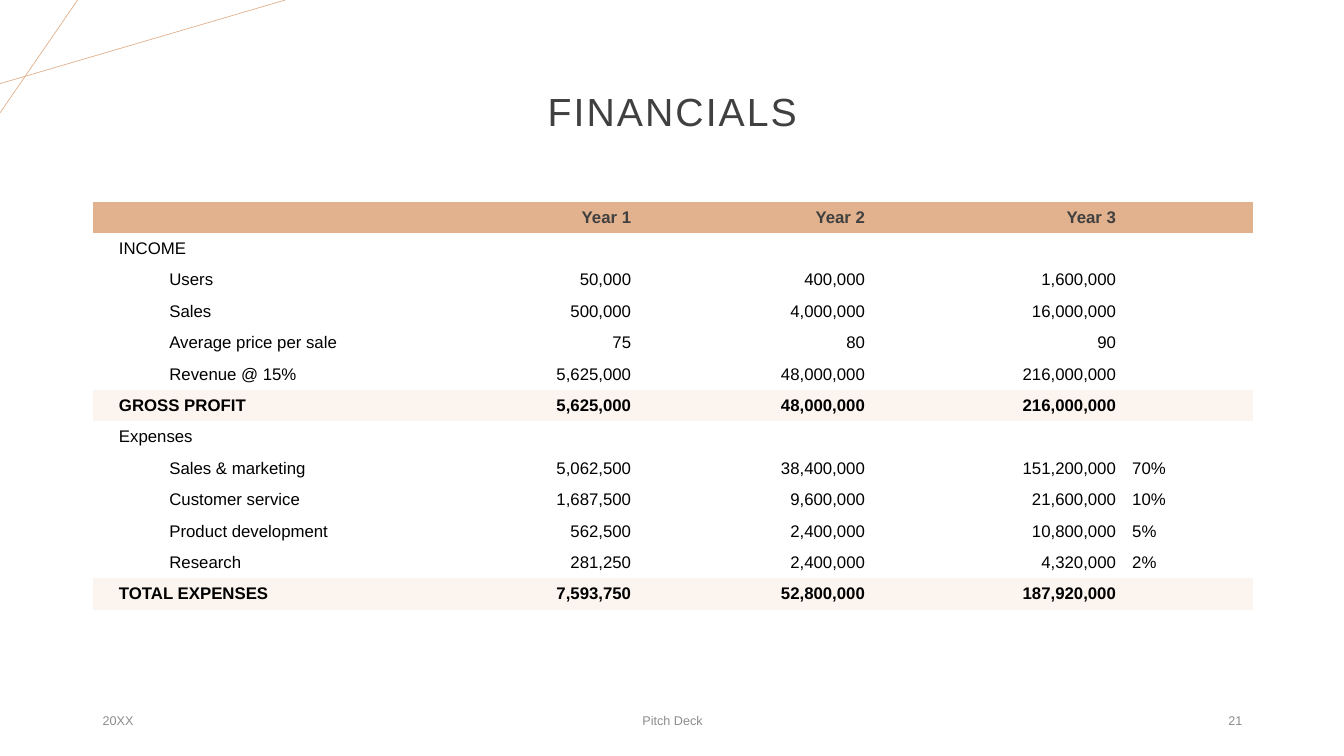
from pptx import Presentation
from pptx.dml.color import RGBColor
from pptx.enum.shapes import MSO_CONNECTOR
from pptx.enum.text import MSO_ANCHOR, PP_ALIGN
from pptx.oxml.ns import qn
from pptx.util import Inches, Pt
from lxml import etree

LEFT, MID, RIGHT = PP_ALIGN.LEFT, PP_ALIGN.CENTER, PP_ALIGN.RIGHT
CENTER = MSO_ANCHOR.MIDDLE
STRAIGHT = MSO_CONNECTOR.STRAIGHT

TAN = RGBColor(0xE2, 0xB1, 0x8D)
CREAM = RGBColor(0xFB, 0xF4, 0xEF)
DARK = RGBColor(0x40, 0x40, 0x40)
GRAY = RGBColor(0x8C, 0x8C, 0x8C)
BLACK = RGBColor(0, 0, 0)
FACE = "Arial"
NO_GRID = "{2D5ABB26-0587-4C30-8999-92F81FD0307C}"

LINES = [(0, 0.83, 2.83, 0), (0.77, 0, 0, 1.12)]
TITLE = "FINANCIALS"
FOOTER = [  # text, left, width, alignment
    ("20XX", 0.92, 3, LEFT),
    ("Pitch Deck", 4.42, 4.5, MID),
    ("21", 9.42, 3, RIGHT),
]
COLS = [3.54, 1.88, 2.32, 2.49, 1.28]
HEAD, GROUP, ITEM, TOTAL = range(4)
ROWS = [  # kind, then the cells
    (HEAD, "", "Year 1", "Year 2", "Year 3", ""),
    (GROUP, "INCOME", "", "", "", ""),
    (ITEM, "Users", "50,000", "400,000", "1,600,000", ""),
    (ITEM, "Sales", "500,000", "4,000,000", "16,000,000", ""),
    (ITEM, "Average price per sale", "75", "80", "90", ""),
    (ITEM, "Revenue @ 15%", "5,625,000", "48,000,000", "216,000,000", ""),
    (TOTAL, "GROSS PROFIT", "5,625,000", "48,000,000", "216,000,000", ""),
    (GROUP, "Expenses", "", "", "", ""),
    (ITEM, "Sales & marketing", "5,062,500", "38,400,000", "151,200,000", "70%"),
    (ITEM, "Customer service", "1,687,500", "9,600,000", "21,600,000", "10%"),
    (ITEM, "Product development", "562,500", "2,400,000", "10,800,000", "5%"),
    (ITEM, "Research", "281,250", "2,400,000", "4,320,000", "2%"),
    (TOTAL, "TOTAL EXPENSES", "7,593,750", "52,800,000", "187,920,000", ""),
]
FILLS = {HEAD: TAN, TOTAL: CREAM}


def style(para, size, color, align, bold=False):
    para.alignment = align
    font = para.font
    font.name, font.size, font.bold = FACE, Pt(size), bold
    font.color.rgb = color


def add_text(slide, text, box, size, color, align):
    frame = slide.shapes.add_textbox(*map(Inches, box)).text_frame
    frame.word_wrap = True
    frame.vertical_anchor = CENTER
    para = frame.paragraphs[0]
    para.text = text
    style(para, size, color, align)
    return para


def add_line(slide, ends):
    line = slide.shapes.add_connector(STRAIGHT, *map(Inches, ends))
    line.line.color.rgb = TAN
    line.line.width = Pt(0.5)
    etree.SubElement(line._element.spPr, qn("a:effectLst"))


def fill_cell(cell, text, kind, col):
    if kind in FILLS:
        cell.fill.solid()
        cell.fill.fore_color.rgb = FILLS[kind]
    else:
        cell.fill.background()
    cell.vertical_anchor = CENTER
    cell.margin_left = Inches(0.26 if col == 0 else 0.08)
    cell.margin_right = Inches(0.08)
    # Empty cells get no padding, so that they cannot stretch the row
    cell.margin_top = cell.margin_bottom = Inches(0.04 if text else 0)
    para = cell.text_frame.paragraphs[0]
    para.text = text
    if kind == ITEM and col == 0:
        para.level = 1
        props = para._p.get_or_add_pPr()
        props.set("marL", str(Inches(0.5)))
        props.set("indent", "0")
    style(para, 12, DARK if kind == HEAD else BLACK,
          RIGHT if 0 < col < 4 else LEFT, kind in FILLS)


def add_grid(slide):
    box = map(Inches, (0.92, 2, sum(COLS), 4.05))
    table = slide.shapes.add_table(len(ROWS), len(COLS), *box).table
    table.horz_banding = False
    table._tbl.tblPr.find(qn("a:tableStyleId")).text = NO_GRID
    for col, width in enumerate(COLS):
        table.columns[col].width = Inches(width)
    for row, (kind, *texts) in enumerate(ROWS):
        for col, text in enumerate(texts):
            fill_cell(table.cell(row, col), text, kind, col)


def main():
    deck = Presentation()
    deck.slide_width, deck.slide_height = Inches(13.33), Inches(7.5)
    slide = deck.slides.add_slide(deck.slide_layouts[6])
    for ends in LINES:
        add_line(slide, ends)
    title = add_text(slide, TITLE, (0.92, 0.4, 11.5, 1.45), 28, DARK, MID)
    title.line_spacing = 0.9
    title.runs[0]._r.get_or_add_rPr().set("spc", "150")
    for text, left, width, align in FOOTER:
        add_text(slide, text, (left, 6.95, width, 0.4), 9, GRAY, align)
    add_grid(slide)
    deck.save("out.pptx")


if __name__ == "__main__":
    main()
